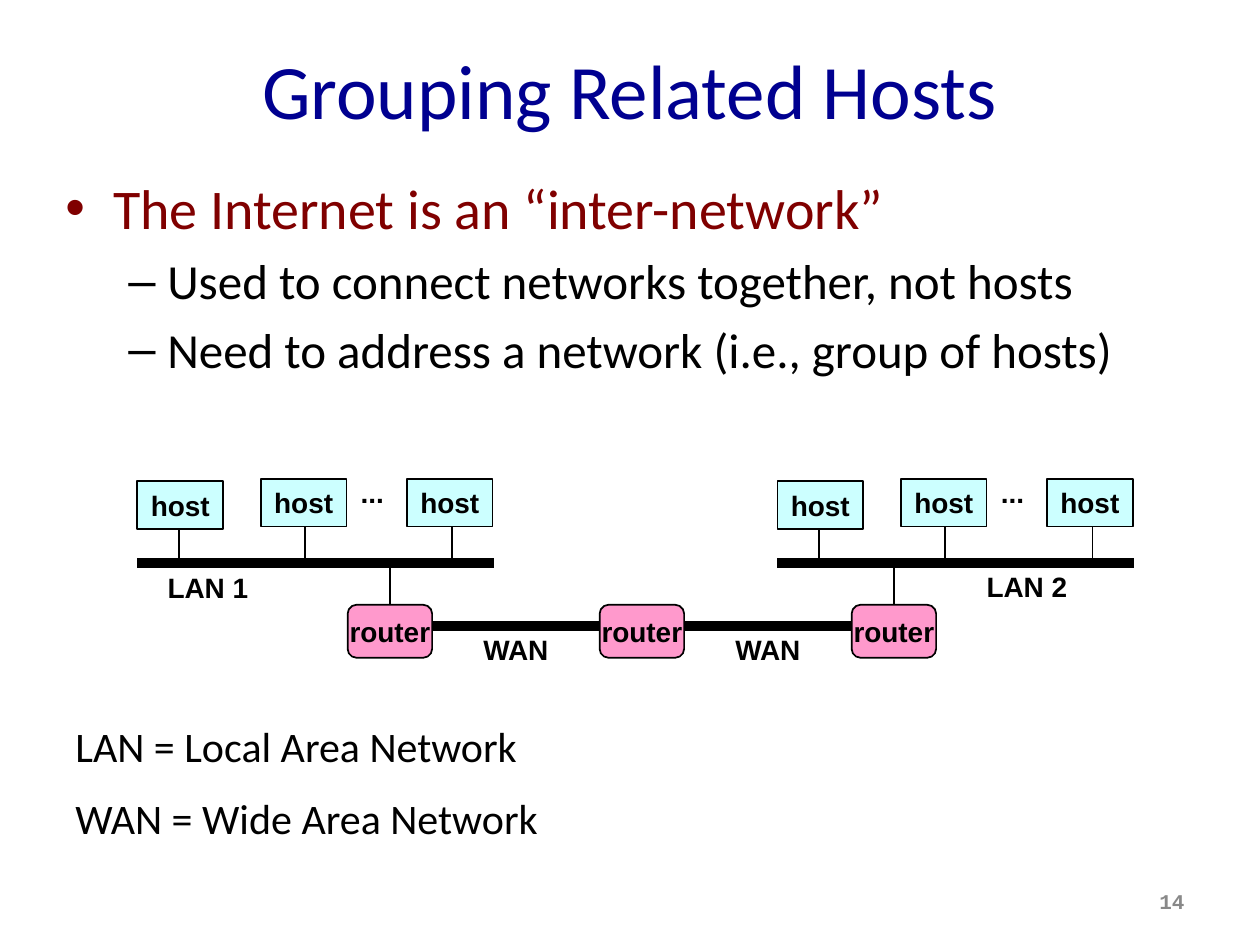
from dataclasses import dataclass

import pptx
import pptx.dml.color
import pptx.enum.shapes
import pptx.enum.text
import pptx.oxml
import pptx.oxml.ns
import pptx.util

Inches = pptx.util.Inches
Pt = pptx.util.Pt
Shapes = pptx.enum.shapes.MSO_SHAPE
Align = pptx.enum.text.PP_ALIGN
Anchor = pptx.enum.text.MSO_ANCHOR


@dataclass(frozen=True)
class TextStyle:
    size: float
    color: str = "000000"
    name: str = "Calibri"
    bold: bool = False


@dataclass(frozen=True)
class Theme:
    title: TextStyle = TextStyle(44, "000090")
    point: TextStyle = TextStyle(32, "800000")
    subpoint: TextStyle = TextStyle(28)
    legend: TextStyle = TextStyle(24)
    label: TextStyle = TextStyle(16, name="Arial", bold=True)
    number: TextStyle = TextStyle(12, "898989", "Courier New", True)
    host_fill: str = "CCFFFF"
    router_fill: str = "FF99CC"
    ink: str = "000000"
    thin: float = 1
    thick: float = 6


@dataclass(frozen=True)
class Line:
    text: str
    style: TextStyle
    bullet: str = ""
    margin: float = 0
    hanging: float = 0
    before: float = 0
    after: float = 0


@dataclass(frozen=True)
class Box:
    left: float
    top: float
    width: float
    height: float

    def lengths(self) -> list:
        return [Inches(n) for n in (self.left, self.top, self.width, self.height)]


@dataclass(frozen=True)
class Lan:
    name: str
    left: float
    label_left: float
    label_top: float
    router_left: float


THEME = Theme()
LANS = (Lan("LAN 1", 1.09, 1.23, 4.48, 2.76), Lan("LAN 2", 6.17, 7.73, 4.47, 6.76))
HOSTS = ((0, 3.82, 0.33), (0.98, 3.8, 1.33), (2.14, 3.8, 2.5))  # left, top, stem
BUS_Y, BUS_LENGTH, STEM_TOP = 4.47, 2.83, 4.13
ROUTER_LEFT, ROUTER_PITCH, ROUTER_TOP, ROUTER_WIDTH = 2.76, 2, 4.8, 0.67
WAN_Y = 4.97


def rgb(color: str):
    return pptx.dml.color.RGBColor.from_string(color)


def set_values(target, values: dict) -> None:
    for name, value in values.items():
        setattr(target, name, value)


def write(shape, lines: list[Line], align=Align.LEFT, anchor=Anchor.TOP, wrap=True) -> None:
    frame = shape.text_frame
    set_values(frame, {"word_wrap": wrap, "vertical_anchor": anchor})
    for index, line in enumerate(lines):
        paragraph = frame.add_paragraph() if index else frame.paragraphs[0]
        paragraph.text = line.text
        set_values(paragraph, {"alignment": align, "space_before": Pt(line.before),
                               "space_after": Pt(line.after)})
        if line.bullet:
            properties = paragraph._p.get_or_add_pPr()
            properties.set("marL", str(Inches(line.margin)))
            properties.set("indent", str(-Inches(line.hanging)))
            for tag, key, value in (("buFont", "typeface", "Arial"),
                                    ("buChar", "char", line.bullet)):
                element = pptx.oxml.parse_xml(f"<a:{tag} {pptx.oxml.ns.nsdecls('a')}/>")
                element.set(key, value)
                properties.append(element)
        style = line.style
        font = paragraph.runs[0].font
        set_values(font, {"size": Pt(style.size), "name": style.name, "bold": style.bold})
        font.color.rgb = rgb(style.color)


def add_text(slide, box: Box, lines: list[Line], **layout) -> None:
    write(slide.shapes.add_textbox(*box.lengths()), lines, **layout)


def add_label(slide, text: str, box: Box) -> None:
    add_text(slide, box, [Line(text, THEME.label)],
             align=Align.CENTER, anchor=Anchor.MIDDLE, wrap=False)


def add_node(slide, text: str, box: Box, preset, fill: str) -> None:
    shape = slide.shapes.add_shape(preset, *box.lengths())
    shape.shadow.inherit = False
    shape.fill.solid()
    shape.fill.fore_color.rgb = rgb(fill)
    shape.line.color.rgb = rgb(THEME.ink)
    shape.line.width = Pt(THEME.thin)
    write(shape, [Line(text, THEME.label)], Align.CENTER, Anchor.MIDDLE, False)


def add_line(slide, x1: float, y1: float, x2: float, y2: float, width: float) -> None:
    connector = slide.shapes.add_connector(
        pptx.enum.shapes.MSO_CONNECTOR.STRAIGHT, *[Inches(n) for n in (x1, y1, x2, y2)])
    connector.line.color.rgb = rgb(THEME.ink)
    connector.line.width = Pt(width)
    connector._element.spPr.append(
        pptx.oxml.parse_xml(f"<a:effectLst {pptx.oxml.ns.nsdecls('a')}/>"))


def add_lan(slide, lan: Lan) -> None:
    add_line(slide, lan.left, BUS_Y, lan.left + BUS_LENGTH, BUS_Y, THEME.thick)
    for offset, top, stem in HOSTS:
        add_line(slide, lan.left + stem, STEM_TOP, lan.left + stem, BUS_Y, THEME.thin)
        add_node(slide, "host", Box(lan.left + offset, top, 0.68, 0.38),
                 Shapes.RECTANGLE, THEME.host_fill)
    add_label(slide, lan.name, Box(lan.label_left, lan.label_top, 0.84, 0.37))
    add_label(slide, "...", Box(lan.left + 1.67, 3.72, 0.39, 0.37))
    uplink = lan.router_left + ROUTER_WIDTH / 2
    add_line(slide, uplink, BUS_Y, uplink, ROUTER_TOP, THEME.thin)


def main() -> None:
    presentation = pptx.Presentation()
    set_values(presentation, {"slide_width": Inches(10), "slide_height": Inches(7.5)})
    slide = presentation.slides.add_slide(presentation.slide_layouts[6])

    # Title, bullets, legend and page number
    add_text(slide, Box(0.5, 0.08, 9, 1.25), [Line("Grouping Related Hosts", THEME.title)],
             align=Align.CENTER, anchor=Anchor.MIDDLE)
    subpoints = ("Used to connect networks together, not hosts",
                 "Need to address a network (i.e., group of hosts)")
    add_text(slide, Box(0.42, 1.33, 9.08, 5.37), [
        Line("The Internet is an “inter-network”", THEME.point, "•", 0.38, 0.38),
        *[Line(text, THEME.subpoint, "–", 0.81, 0.31, before=5.6) for text in subpoints]])
    add_text(slide, Box(0.5, 5.67, 3.91, 1.08), [
        Line("LAN = Local Area Network", THEME.legend, after=12),
        Line("WAN = Wide Area Network", THEME.legend)], wrap=False)
    add_text(slide, Box(7.17, 6.95, 2.33, 0.4), [Line("14", THEME.number)],
             align=Align.RIGHT, anchor=Anchor.MIDDLE)

    # Local networks
    for lan in LANS:
        add_lan(slide, lan)

    # Routers and the wide area links between them
    routers = [ROUTER_LEFT + ROUTER_PITCH * index for index in range(3)]
    for left in routers:
        add_node(slide, "router", Box(left, ROUTER_TOP, ROUTER_WIDTH, 0.42),
                 Shapes.ROUNDED_RECTANGLE, THEME.router_fill)
    for left, following in zip(routers, routers[1:]):
        add_line(slide, left + ROUTER_WIDTH, WAN_Y, following, WAN_Y, THEME.thick)
        add_label(slide, "WAN", Box(left + 0.97, WAN_Y, 0.73, 0.37))

    presentation.save("out.pptx")


if __name__ == "__main__":
    main()
